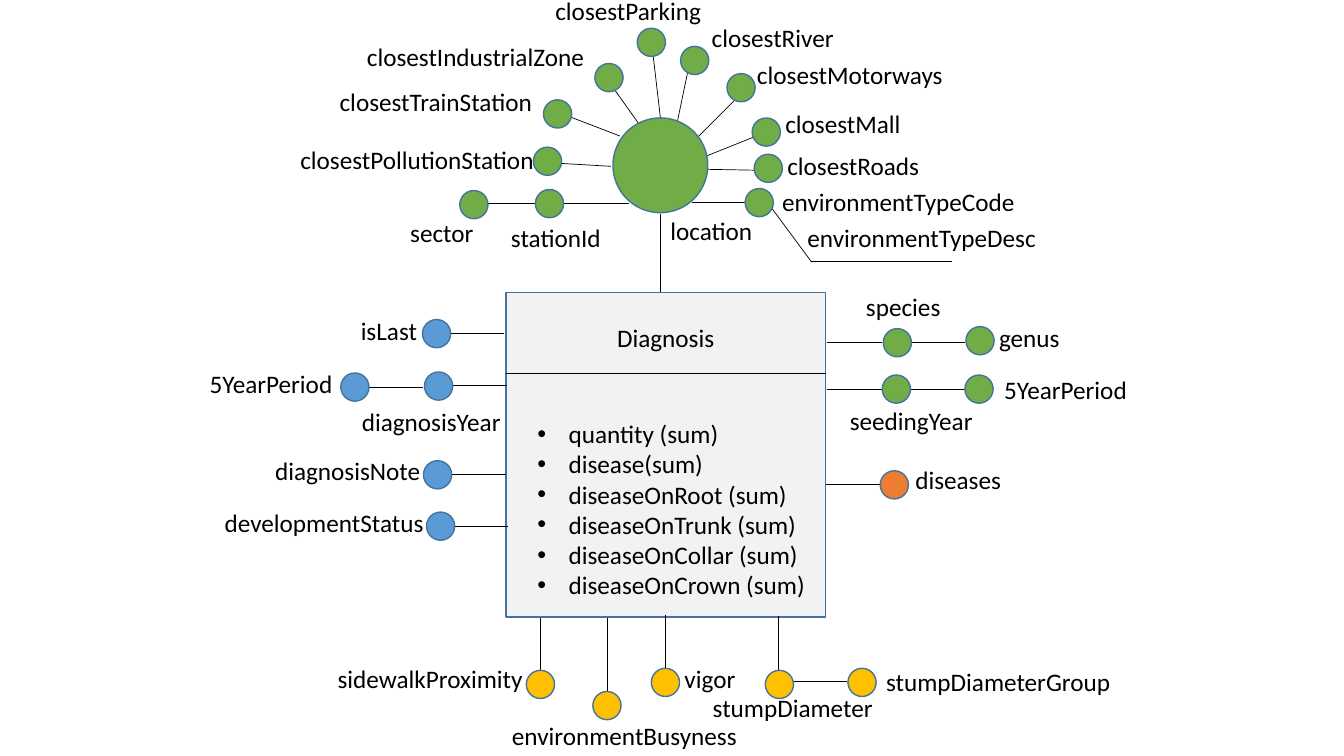
from lxml import etree
from pptx import Presentation, util as u
from pptx.dml.color import RGBColor
from pptx.enum import shapes, text
from pptx.oxml import ns

GREEN, BLUE, ORANGE, YELLOW = "70AD47", "5B9BD5", "ED7D31", "FFC000"
BLACK, OUTLINE, PANEL = "000000", "43739E", "F2F2F2"
NODE = 28
LABEL_HEIGHT = 40


def px(value):
    return u.Emu(value * 9144)


def colour(value):
    return RGBColor.from_string(value)


class Diagram:
    font = {"name": "Calibri", "size": u.Pt(18), "bold": False}
    frame = {"word_wrap": False, "auto_size": text.MSO_AUTO_SIZE.NONE,
             "vertical_anchor": text.MSO_ANCHOR.TOP}
    para = {"alignment": text.PP_ALIGN.LEFT, "space_before": u.Pt(0),
            "line_spacing": 1.0}

    def __init__(self, page):
        self.page = page

    def apply(self, target, formats):
        for name, value in formats.items():
            setattr(target, name, value)

    def fill_text(self, box, lines):
        box.text_frame.text = "\n".join(lines)
        self.apply(box.text_frame, self.frame)
        for para in box.text_frame.paragraphs:
            self.apply(para, self.para)
            for span in para.runs:
                self.apply(span.font, self.font)
                span.font.color.rgb = colour(BLACK)

    def placeholder(self, index, lines, left, top, width, height):
        box = self.page.placeholders[index]
        self.apply(box, {"left": px(left), "top": px(top),
                         "width": px(width), "height": px(height)})
        self.fill_text(box, lines)
        return box

    def bullets(self, index, lines, left, top, width, height, indent):
        box = self.placeholder(index, lines, left, top, width, height)
        for para in box.text_frame.paragraphs:
            properties = para._p.get_or_add_pPr()
            properties.set("marL", str(px(indent)))
            properties.set("indent", str(px(-indent)))
            bullet = etree.SubElement(properties, ns.qn("a:buChar"))
            bullet.set("char", "•")

    def label(self, words, left, top, width):
        box = self.page.shapes.add_textbox(
            px(left), px(top), px(width), px(LABEL_HEIGHT))
        self.fill_text(box, [words])

    def shape(self, kind, fill, left, top, width, height):
        box = self.page.shapes.add_shape(
            kind, px(left), px(top), px(width), px(height))
        box.shadow.inherit = False
        box.fill.solid()
        box.fill.fore_color.rgb = colour(fill)
        box.line.color.rgb = colour(OUTLINE)
        box.line.width = u.Pt(1)
        return box

    def panel(self, *bounds):
        box = self.shape(shapes.MSO_SHAPE.RECTANGLE, PANEL, *bounds)
        box.element.getparent().insert(2, box.element)

    def node(self, fill, left, top, size=NODE):
        self.shape(shapes.MSO_SHAPE.OVAL, fill, left, top, size, size)

    def line(self, *ends):
        link = self.page.shapes.add_connector(
            shapes.MSO_CONNECTOR.STRAIGHT, *map(px, ends))
        link.line.color.rgb = colour(BLACK)
        link.line.width = u.Pt(0.5)
        etree.SubElement(link.element.spPr, ns.qn("a:effectLst"))


MEASURES = ["quantity (sum)", "disease(sum)", "diseaseOnRoot (sum)",
            "diseaseOnTrunk (sum)", "diseaseOnCollar (sum)",
            "diseaseOnCrown (sum)"]

LINKS = [
    (502, 370, 819, 370),
    (446, 331, 500, 331), (449, 382, 503, 382), (366, 384, 420, 384),
    (448, 471, 502, 471), (450, 522, 504, 522),
    (820, 340, 875, 340), (903, 340, 957, 340),
    (820, 386, 875, 386), (903, 386, 957, 386), (819, 481, 873, 481),
    (536, 613, 536, 667), (602, 613, 602, 686), (660, 610, 660, 665),
    (772, 611, 772, 665), (786, 676, 840, 676),
    (655, 212, 655, 290), (557, 202, 624, 202), (479, 202, 533, 202),
    (686, 201, 740, 201), (765, 206, 805, 260), (804, 259, 944, 259),
    (554, 162, 606, 165), (563, 115, 615, 135), (606, 84, 633, 122),
    (647, 48, 655, 117), (683, 67, 672, 120), (731, 97, 693, 135),
    (750, 135, 700, 155), (702, 168, 756, 169),
]

NODES = {
    BLUE: [(419, 317), (421, 369), (338, 370), (420, 457), (423, 508)],
    ORANGE: [(873, 467)],
    YELLOW: [(522, 665), (588, 686), (646, 663), (759, 665), (841, 663)],
    GREEN: [(876, 326), (958, 324), (875, 372), (957, 372),
            (739, 187), (531, 188), (456, 189), (529, 146), (539, 99),
            (590, 63), (632, 28), (675, 46), (721, 73), (746, 117),
            (748, 153)],
}

LABELS = [
    ("isLast", 348, 308, 80),
    ("5YearPeriod", 198, 360, 143),
    ("diagnosisYear", 349, 398, 159),
    ("diagnosisNote", 263, 447, 166),
    ("developmentStatus", 213, 498, 220),
    ("species", 849, 284, 95),
    ("genus", 981, 315, 81),
    ("seedingYear", 833, 397, 144),
    ("5YearPeriod", 986, 366, 143),
    ("diseases", 898, 456, 106),
    ("sidewalkProximity", 325, 653, 205),
    ("environmentBusyness", 498, 710, 246),
    ("vigor", 669, 653, 71),
    ("stumpDiameter", 697, 682, 181),
    ("stumpDiameterGroup", 869, 656, 245),
    ("location", 655, 209, 102),
    ("stationId", 497, 216, 110),
    ("sector", 397, 211, 84),
    ("closestPollutionStation", 288, 138, 254),
    ("closestTrainStation", 327, 81, 213),
    ("closestIndustrialZone", 354, 36, 238),
    ("closestParking", 541, -10, 166),
    ("closestRiver", 696, 17, 142),
    ("closestMotorways", 741, 54, 206),
    ("closestMall", 769, 103, 136),
    ("closestRoads", 771, 144, 152),
    ("environmentTypeCode", 766, 180, 253),
    ("environmentTypeDesc", 791, 216, 249),
]


def main():
    deck = Presentation()
    deck.slide_width, deck.slide_height = px(1333), px(750)
    diagram = Diagram(deck.slides.add_slide(deck.slide_layouts[1]))
    diagram.panel(502, 290, 317, 322)
    diagram.placeholder(0, ["Diagnosis"], 602, 315, 118, LABEL_HEIGHT)
    diagram.bullets(1, MEASURES, 523, 410, 289, 192, indent=31)
    for ends in LINKS:
        diagram.line(*ends)
    diagram.node(GREEN, 608, 117, size=94)
    for fill, places in NODES.items():
        for place in places:
            diagram.node(fill, *place)
    for label in LABELS:
        diagram.label(*label)
    deck.save("out.pptx")


if __name__ == "__main__":
    main()
